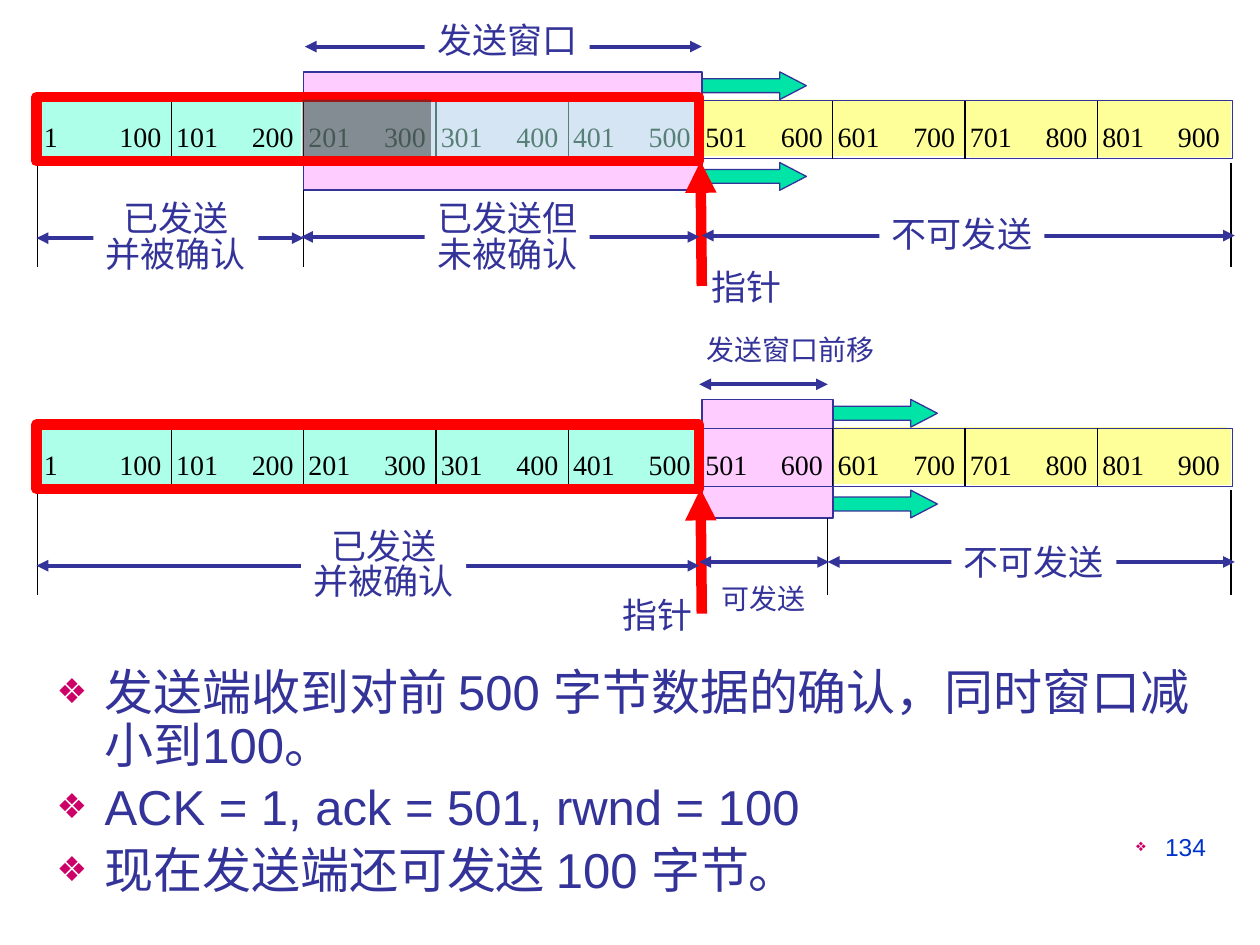
"""Build the slide on a send window that shrinks after an acknowledgement."""
from lxml import etree
from pptx import Presentation
from pptx import util as u
from pptx.dml.color import RGBColor
from pptx.enum import shapes, text
from pptx.oxml import ns

INK = RGBColor(0x33, 0x33, 0x99)
BLACK = RGBColor(0, 0, 0)
WHITE = RGBColor(0xFF, 0xFF, 0xFF)
RED = RGBColor(0xFF, 0, 0)
MINT = RGBColor(0xAD, 0xFF, 0xEA)
YELLOW = RGBColor(0xFF, 0xFF, 0x99)
PINK = RGBColor(0xFF, 0xCC, 0xFF)
GREEN = RGBColor(0, 0xE4, 0xA8)
GRAY = RGBColor(0x33, 0x33, 0x33)
BLUE = RGBColor(0, 0x33, 0xCC)
CJK = "Noto Sans CJK SC"
RECT = shapes.MSO_SHAPE.RECTANGLE
ARROW = shapes.MSO_SHAPE.RIGHT_ARROW
LEFT, MID, RIGHT = text.PP_ALIGN.LEFT, text.PP_ALIGN.CENTER, text.PP_ALIGN.RIGHT

deck = Presentation()
deck.slide_width, deck.slide_height = u.Inches(10), u.Inches(7.5)
slide = deck.slides.add_slide(deck.slide_layouts[1])
title, body = slide.placeholders
title.element.getparent().remove(title.element)


def box(area, fill=None, edge=None, width=1, kind=RECT, alpha=100,
        words="", size=20, font=CJK, ink=INK, align=LEFT, space=1.0):
    item = slide.shapes.add_shape(kind, *map(u.Inches, area))
    item.shadow.inherit = False
    if fill is None:
        item.fill.background()
    else:
        item.fill.solid()
        item.fill.fore_color.rgb = fill
        if alpha < 100:
            shade = item.fill._xPr.find(".//" + ns.qn("a:srgbClr"))
            etree.SubElement(shade, ns.qn("a:alpha"), val=str(alpha * 1000))
    if edge is None:
        item.line.fill.background()
    else:
        item.line.color.rgb = edge
        item.line.width = u.Pt(width)
    if words:
        frame = item.text_frame
        frame.word_wrap = False
        frame.text = words
        for para in frame.paragraphs:
            para.alignment, para.line_spacing = align, space
            for run in para.runs:
                run.font.size = u.Pt(size)
                run.font.color.rgb = ink
                run.font.name = font
                etree.SubElement(run.font._element, ns.qn("a:ea"), typeface=font)
    return item


def rule(start, end, color=BLACK, width=0.75, ends=()):
    points = map(u.Inches, (*start, *end))
    item = slide.shapes.add_connector(shapes.MSO_CONNECTOR.STRAIGHT, *points)
    item.line.color.rgb = color
    item.line.width = u.Pt(width)
    for tip in ends:
        etree.SubElement(item.line._ln, ns.qn("a:" + tip), type="triangle")
    etree.SubElement(item._element.spPr, ns.qn("a:effectLst"))


BOTH = ("headEnd", "tailEnd")
STEP = 1.05
bands = [
    (0, 2.08, 3.16, 2.41, (2.41, 3.16), 5.55),
    (2.6, 5.24, 1.04, 6.57, (5.57, 1.04), 4.84),
]
spans = [
    [(0.29, 2.41, 1.89, 0.74, 1.56, "已发送\n并被确认", MID),
     (5.57, 9.8, 1.87, 6.98, 1.69, "不可发送", LEFT),
     (2.39, 5.55, 1.88, 3.37, 1.56, "已发送但\n未被确认", LEFT)],
    [(0.29, 5.55, 4.49, 2.39, 4.16, "已发送\n并被确认", MID),
     (6.57, 9.8, 4.46, 7.55, 4.29, "不可发送", LEFT)],
]

for (top, done, wide, mark, (left, wide), note), marks in zip(bands, spans):
    box((5.55, top + 0.79, 4.19, 0.45), YELLOW)
    box((0.31, top + 0.8, done, 0.45), MINT)
    box((7.69, top + 0.8, 2.08, 0.45), YELLOW)
    for y in (1.29, 0.57):
        arrow = box((left + wide, top + y, 0.83, 0.22), GREEN, INK, 0.75, ARROW)
        arrow.adjustments[0], arrow.adjustments[1] = 0.5, 0.96
    box((left, top + 0.57, wide, 0.94), PINK, INK)
    box((0.31, top + 0.8, 9.47, 0.46), edge=INK, width=0.75)
    for i in range(9):
        x = 0.31 + i * STEP
        if i:
            rule((x, top + 0.8), (x, top + 1.26))
        first = 0.31 if i == 0 else 0.54
        for x, w, num in ((x - 0.06, first, i * 100 + 1),
                          (x + 0.54, 0.54, i * 100 + 100)):
            box((x, top + 0.9, w, 0.37), words=str(num), size=16,
                font="Times New Roman", ink=BLACK)
    for x, y in ((0.3, 1.29), (mark, 1.51), (5.57, 1.51), (9.77, 1.29)):
        rule((x, top + y), (x, top + 2.12))
    rule((5.57, top + 2.27), (5.56, top + 1.28), RED, 6, ["tailEnd"])
    box((note, top + 2.11, 0.76, 0.38), words="指针", space=0.85)
    if top == 0:
        box((2.42, 0.8, 3.13, 0.45), MINT, alpha=50)
    box((0.29, top + 0.77, 5.26, 0.51), edge=RED, width=6)
    if top == 0:
        box((2.4, 0.79, 1.02, 0.45), GRAY, alpha=50)
    for x, end, y, spot, high, words, align in marks:
        rule((x, y), (end, y), INK, 2.25, BOTH)
        tall = 0.67 if "\n" in words else 0.38
        box((spot, high, 1.31, tall), WHITE, words=words, align=align, space=0.85)

for x, end, y, area, words, size in (
        (2.42, 5.57, 0.37, (3.37, 0.1, 1.31, 0.43), "发送窗口", 20),
        (5.55, 6.57, 3.05, (5.51, 2.59, 1.53, 0.37), "发送窗口前移", 16),
        (5.55, 6.58, 4.46, (5.63, 4.56, 0.87, 0.37), "可发送", 16)):
    rule((x, y), (end, y), INK, 2.25, BOTH)
    box(area, WHITE, words=words, size=size)

page = slide.shapes.add_textbox(*map(u.Inches, (7.17, 6.58, 2.5, 0.52)))
body.left, body.top, body.width, body.height = map(u.Inches, (0.35, 5.25, 9.29, 1.81))
for item, words, size, ink, align, hang in (
        (page, "134", 14, BLUE, RIGHT, 0.23),
        (body, "发送端收到对前 500 字节数据的确认，同时窗口减小到100。\n"
               "ACK = 1, ack = 501, rwnd = 100\n"
               "现在发送端还可发送 100 字节。", 28, INK, LEFT, 0.38)):
    frame = item.text_frame
    frame.word_wrap = True
    frame.auto_size = text.MSO_AUTO_SIZE.NONE
    frame.text = words
    for para in frame.paragraphs:
        para.alignment, para.line_spacing = align, 0.9
        para.space_before = u.Pt(size * 0.2)
        props = para._p.get_or_add_pPr()
        props.set("marL", str(u.Inches(hang)))
        props.set("indent", str(-u.Inches(hang)))
        tint = etree.SubElement(props, ns.qn("a:buClr"))
        etree.SubElement(tint, ns.qn("a:srgbClr"), val="CC0066")
        etree.SubElement(props, ns.qn("a:buSzPct"), val="70000")
        etree.SubElement(props, ns.qn("a:buChar"), char="❖")
        for run in para.runs:
            run.font.size = u.Pt(size)
            run.font.color.rgb = ink
            run.font.name = "Arial"

deck.save("out.pptx")
